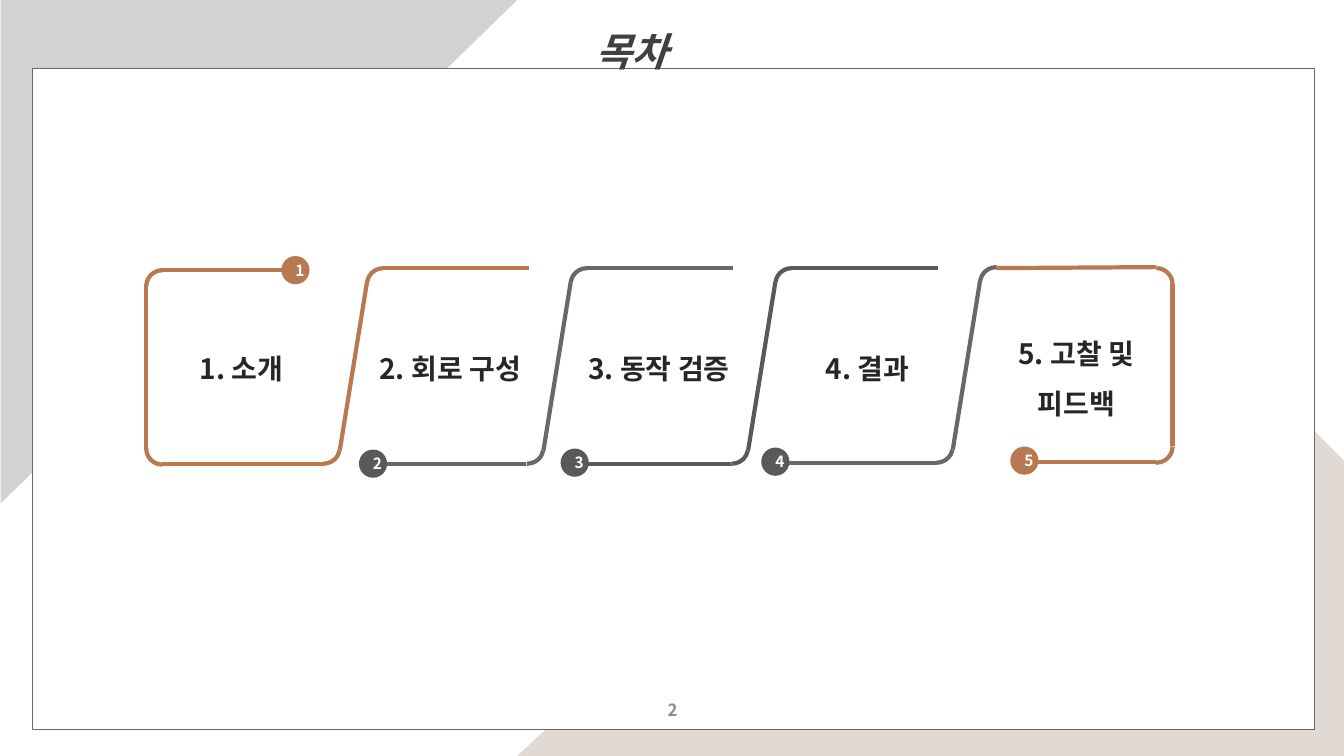
from lxml.etree import SubElement
from pptx import Presentation
from pptx.dml.color import RGBColor
from pptx.enum.shapes import MSO_CONNECTOR, MSO_SHAPE
from pptx.enum.text import MSO_ANCHOR, MSO_AUTO_SIZE, PP_ALIGN
from pptx.oxml.ns import qn
from pptx.util import Inches, Pt

THEME = {
    "font": "Noto Sans CJK KR",
    "white": "FFFFFF", "sand": "E1DAD4", "silver": "D2D2D2",
    "copper": "B87850", "slate": "64696D", "dark": "595959",
    "title": "404040", "ink": "262626", "page": "8C8C8C",
    "title_size": 28, "topic_size": 20, "page_size": 12, "badge_size": 11,
    "thin": 1, "thick": 3,
}

TITLE = "목차"
PAGE = "2"
TOPICS = [
    ("1. 소개", 3.27, 0.54),
    ("2. 회로 구성", 3.27, 0.54),
    ("3. 동작 검증", 3.27, 0.54),
    ("4. 결과", 3.27, 0.54),
    ("5. 고찰 및 피드백", 3.12, 1.05),
]
TOPIC_LEFT, TOPIC_STEP, TOPIC_WIDTH = 1.5, 2.07, 1.79
# left end and height of each bottom line, colour
LINKS = [
    (1.61, 4.6, "copper"),
    (3.63, 4.6, "slate"),
    (5.66, 4.6, "dark"),
    (7.69, 4.59, "slate"),
]
BADGES = [
    (2.79, 2.54, "copper"),
    (3.56, 4.46, "dark"),
    (5.56, 4.45, "dark"),
    (7.55, 4.44, "dark"),
    (10.02, 4.43, "copper"),
]
CORNER = [(10.44, 2.54), (11.3, 2.54), (13.33, 4.57), (13.33, 7.5), (5.13, 7.5)]
BEND = 0.32
BADGE = 0.28

deck = Presentation()
deck.slide_width, deck.slide_height = Inches(13.33), Inches(7.5)
slide = deck.slides.add_slide(deck.slide_layouts[6])
shapes = slide.shapes


def color(name):
    return RGBColor.from_string(THEME[name])


def paint(shape, fill=None, line=None, weight="thick"):
    shape.shadow.inherit = False
    if fill:
        shape.fill.solid()
        shape.fill.fore_color.rgb = color(fill)
    else:
        shape.fill.background()
    if line:
        shape.line.color.rgb = color(line)
        shape.line.width = Pt(THEME[weight])
    else:
        shape.line.fill.background()


def block(kind, left, top, width, height, **look):
    shape = shapes.add_shape(kind, *map(Inches, (left, top, width, height)))
    paint(shape, **look)
    return shape


def write(shape, text, size, tint, italic=False, space=None, grow=False, middle=False):
    frame = shape.text_frame
    frame.word_wrap = True
    frame.auto_size = MSO_AUTO_SIZE.SHAPE_TO_FIT_TEXT if grow else MSO_AUTO_SIZE.NONE
    frame.vertical_anchor = MSO_ANCHOR.MIDDLE if middle else MSO_ANCHOR.TOP
    para = frame.paragraphs[0]
    para.alignment = PP_ALIGN.CENTER
    if space:
        para.line_spacing = space
    run = para.add_run()
    run.text = text
    font = run.font
    font.name, font.size = THEME["font"], Pt(THEME[size])
    font.bold, font.italic = True, italic
    font.color.rgb = color(tint)
    SubElement(run._r.get_or_add_rPr(), qn("a:ea")).set("typeface", THEME["font"])


def label(left, top, width, height, text, size, tint, **form):
    box = shapes.add_textbox(*map(Inches, (left, top, width, height)))
    write(box, text, size, tint, **form)


def stroke(x1, y1, x2, y2, tint):
    line = shapes.add_connector(MSO_CONNECTOR.STRAIGHT, *map(Inches, (x1, y1, x2, y2)))
    line.line.color.rgb = color(tint)
    line.line.width = Pt(THEME["thick"])
    SubElement(line._element.spPr, qn("a:effectLst"))


def bend(left, top, turn, tint, start=162, end=1.17):
    """Draw a rounded corner; turn 0 is the top right one."""
    arc = block(MSO_SHAPE.ARC, left, top, BEND, BEND, line=tint)
    arc.adjustments[0], arc.adjustments[1] = start, end
    arc.rotation = turn


def link(x, y, tint, top=True):
    """Draw a bottom line, the slant up from it and the top line that follows."""
    stroke(x, y, x + 1.59, y, tint)
    bend(x + 1.44, y - 0.32, 90, tint, 168.61, 1.46)
    stroke(x + 1.76, y - 0.13, x + 2.03, y - 1.8, tint)
    bend(x + 2.03, y - 1.94, 270, tint, 166.35, 1.26)
    if top:
        stroke(x + 2.19, y - 1.94, x + 3.64, y - 1.94, tint)


# Backdrop
pen = shapes.build_freeform(*map(Inches, CORNER[0]), scale=1.0)
pen.add_line_segments([(Inches(x), Inches(y)) for x, y in CORNER[1:]], close=True)
paint(pen.convert_to_shape(), fill="sand")
block(MSO_SHAPE.RIGHT_TRIANGLE, 0.07, -0.07, 5, 5.13, fill="silver").rotation = 90
block(MSO_SHAPE.RECTANGLE, 0.32, 0.68, 12.72, 6.56,
      fill="white", line="slate", weight="thin")
label(2.93, -0.01, 6.67, 0.72, TITLE, "title_size", "title",
      italic=True, space=1.5, grow=True)

# Opening side
bend(1.45, 2.68, 270, "copper")
stroke(1.61, 2.68, 2.87, 2.68, "copper")
stroke(1.45, 2.83, 1.45, 4.44, "copper")
bend(1.45, 4.29, 180, "copper")

for x, y, tint in LINKS:
    link(x, y, tint, top=x != LINKS[-1][0])

# Closing side
bend(11.31, 4.27, 90, "copper")
stroke(11.47, 4.58, 10.21, 4.58, "copper")
stroke(11.63, 4.42, 11.63, 2.82, "copper")
bend(11.31, 2.66, 0, "copper")
stroke(11.47, 2.65, 9.88, 2.66, "copper")

for i, (text, top, height) in enumerate(TOPICS):
    label(TOPIC_LEFT + TOPIC_STEP * i, top, TOPIC_WIDTH, height, text,
          "topic_size", "ink", space=1.5, grow=True)

for number, (x, y, tint) in enumerate(BADGES, 1):
    dot = block(MSO_SHAPE.OVAL, x, y, BADGE, BADGE, fill=tint)
    write(dot, str(number), "badge_size", "white", middle=True)

label(5.17, 6.84, 3, 0.4, PAGE, "page_size", "page", middle=True)

deck.save("out.pptx")
